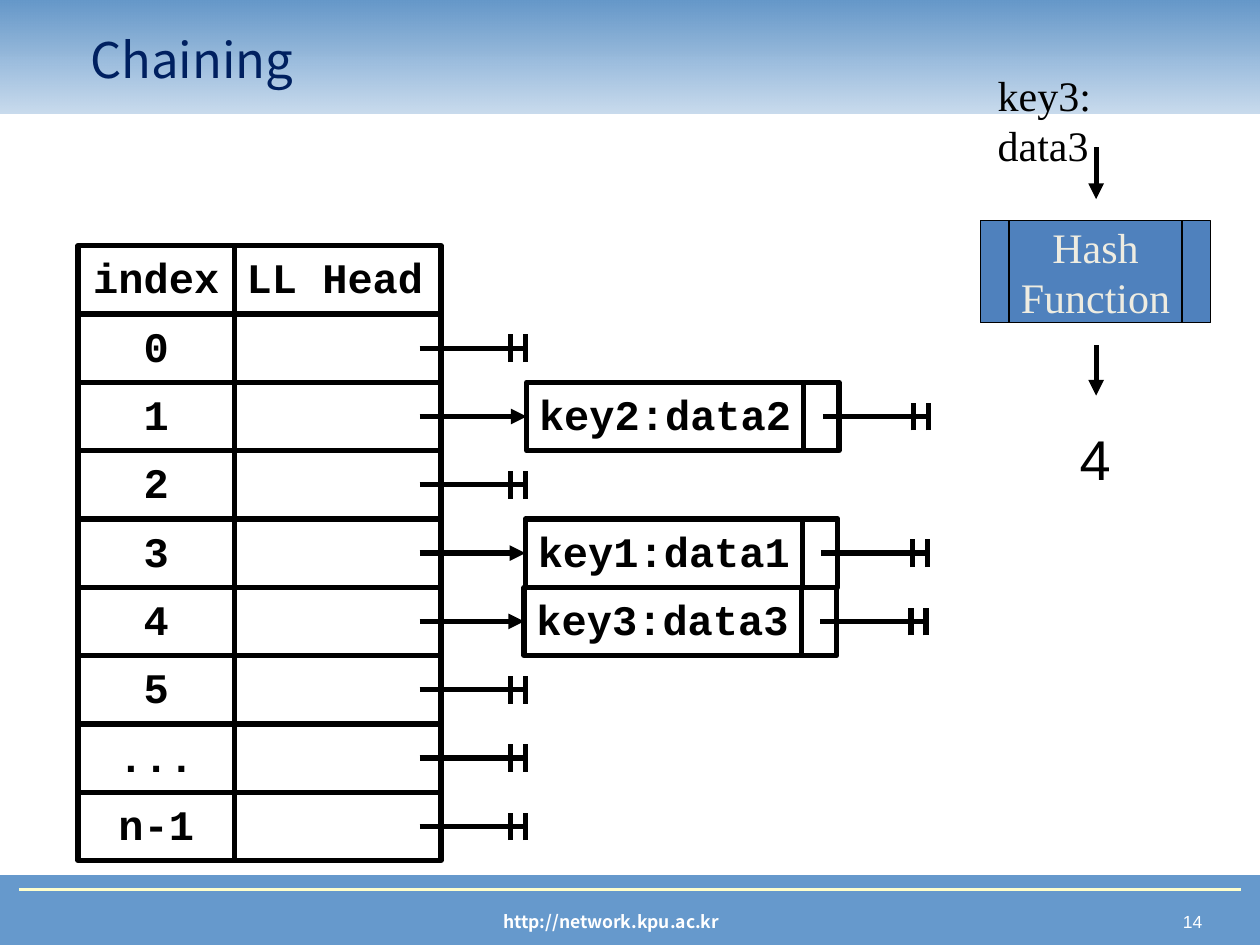
import pptx
import pptx.dml.color
import pptx.enum.shapes
import pptx.enum.text
import pptx.oxml
import pptx.oxml.ns
import pptx.util
from lxml import etree

Inches, Pt = pptx.util.Inches, pptx.util.Pt
RGBColor = pptx.dml.color.RGBColor
SHAPE = pptx.enum.shapes.MSO_SHAPE
ALIGN = pptx.enum.text.PP_ALIGN
ANCHOR = pptx.enum.text.MSO_ANCHOR
qn = pptx.oxml.ns.qn

BLACK = RGBColor(0x00, 0x00, 0x00)
WHITE = RGBColor(0xFF, 0xFF, 0xFF)
SKY = RGBColor(0x66, 0x99, 0xCC)
SKY_TOP = RGBColor(0x64, 0x97, 0xC9)
NAVY = RGBColor(0x00, 0x20, 0x60)
CREAM = RGBColor(0xFF, 0xFF, 0xCC)
HASH_BLUE = RGBColor(0x4F, 0x81, 0xBD)
IVORY = RGBColor(0xEE, 0xEC, 0xE1)
SANS, SERIF, MONO = "Noto Sans CJK KR", "Times New Roman", "Courier New"

# Content
TITLE = "Chaining"
HEADERS = ("index", "LL Head")
INDEXES = ("0", "1", "2", "3", "4", "5", "...", "n-1")
NODES = {  # index: (node text, left edge)
    "1": ("key2:data2", 4.18),
    "3": ("key1:data1", 4.17),
    "4": ("key3:data3", 4.16),
}
HASH_INPUT, HASH_BOX, HASH_OUTPUT = "key3: data3", ("Hash", "Function"), "4"
HASH_ARROWS = ((1.17, 1.58), (2.74, 3.14))
SITE, PAGE = "http://network.kpu.ac.kr", "14"

# Layout
TABLE_TOP, TABLE_BOTTOM = 1.95, 6.83
ROW_H = (TABLE_BOTTOM - TABLE_TOP) / (len(INDEXES) + 1)
INDEX_X, INDEX_W, HEAD_X, HEAD_W = 0.62, 1.24, 1.86, 1.64
POINTER_X, POINTER_W = 3.33, 0.84
NODE_W, NEXT_W, NEXT_POINTER = 2.2, 0.28, 2.35
TICK_GAP, TICK_HALF = 0.12, 0.11
HASH_MID = 8.7

prs = pptx.Presentation()
prs.slide_width, prs.slide_height = Inches(10), Inches(7.5)
slide = prs.slides.add_slide(prs.slide_layouts[6])


def write(shape, lines, font, size, color, bold=False, align=ALIGN.LEFT,
          anchor=ANCHOR.TOP, wrap=False):
    frame = shape.text_frame
    frame.word_wrap, frame.vertical_anchor = wrap, anchor
    frame.text = "\n".join(lines)
    for paragraph in frame.paragraphs:
        paragraph.alignment = align
        paragraph.font.name, paragraph.font.size = font, Pt(size)
        paragraph.font.bold, paragraph.font.color.rgb = bold, color
        ea = etree.SubElement(paragraph.font._element, qn("a:ea"))
        ea.set("typeface", font)


def label(x, y, w, h, text, *style, **options):
    box = slide.shapes.add_textbox(Inches(x), Inches(y), Inches(w), Inches(h))
    write(box, [text], *style, **options)


def block(x, y, w, h, kind=SHAPE.RECTANGLE, fill=None, line=BLACK, width=3):
    shape = slide.shapes.add_shape(kind, Inches(x), Inches(y), Inches(w), Inches(h))
    shape.shadow.inherit = False
    if fill is None:
        shape.fill.background()
    else:
        shape.fill.solid()
        shape.fill.fore_color.rgb = fill
    if line is None:
        shape.line.fill.background()
    else:
        shape.line.color.rgb, shape.line.width = line, Pt(width)
    return shape


def cell(x, y, w, text="", align=ALIGN.LEFT):
    shape = block(x, y, w, ROW_H)
    if text:
        write(shape, [text], MONO, 24, BLACK, bold=True, align=align)
    return shape


def line(x1, y1, x2, y2, color=BLACK, width=3, arrow=False, parent=slide):
    connector = parent.shapes.add_connector(
        pptx.enum.shapes.MSO_CONNECTOR.STRAIGHT,
        Inches(x1), Inches(y1), Inches(x2), Inches(y2))
    connector.line.color.rgb, connector.line.width = color, Pt(width)
    if arrow:
        etree.SubElement(connector.line._get_or_add_ln(), qn("a:tailEnd"), type="triangle")
    etree.SubElement(connector._element.spPr, qn("a:effectLst"))
    return connector


def null_pointer(x, y):
    group = slide.shapes.add_group_shape()
    end = x + POINTER_W
    for x1, y1, x2, y2 in ((x, y, end, y),
                           (end - TICK_GAP, y + TICK_HALF, end - TICK_GAP, y - TICK_HALF),
                           (end, y + TICK_HALF, end, y - TICK_HALF)):
        connector = group.shapes.add_connector(
            pptx.enum.shapes.MSO_CONNECTOR.STRAIGHT,
            Inches(x1), Inches(y1), Inches(x2), Inches(y2))
        connector.line.color.rgb, connector.line.width = BLACK, Pt(3)
        etree.SubElement(connector._element.spPr, qn("a:effectLst"))


# Footer band
block(0, 6.95, 10, 0.55, fill=SKY, line=SKY, width=0.75)
label(7.42, 7.18, 2.22, 0.27, PAGE, "Arial", 10, WHITE, align=ALIGN.RIGHT, wrap=True)
label(2.27, 7.18, 5.16, 0.27, SITE, SANS, 10, WHITE, bold=True, align=ALIGN.CENTER, wrap=True)
line(0.15, 7.06, 9.85, 7.06, CREAM, 1.5)

# Title band, fading towards its lower edge
band = block(0, 0, 10, 0.9, line=None)
band.fill.gradient()
band.fill.gradient_angle = 90
for stop, color in zip(band.fill.gradient_stops, (SKY, SKY_TOP)):
    stop.color.rgb = color
faded = band._element.spPr.find(".//" + qn("a:srgbClr"))
etree.SubElement(faded, qn("a:alpha"), val="35000")
label(0.62, 0.16, 8.44, 0.62, TITLE, SANS, 28, NAVY, anchor=ANCHOR.MIDDLE, wrap=True)

# Hash function
label(7.82, 0.5, 1.74, 0.5, HASH_INPUT, SERIF, 24, BLACK)
hash_box = block(7.78, 1.75, 1.83, 0.81, SHAPE.FLOWCHART_PREDEFINED_PROCESS,
                 fill=HASH_BLUE, width=0.75)
write(hash_box, HASH_BOX, SERIF, 24, IVORY, align=ALIGN.CENTER, anchor=ANCHOR.MIDDLE)
for start, end in HASH_ARROWS:
    line(HASH_MID, start, HASH_MID, end, arrow=True)
label(8.47, 3.32, 0.45, 0.64, HASH_OUTPUT, "Arial", 32, BLACK)

# Table of list heads
cell(INDEX_X, TABLE_TOP, INDEX_W, HEADERS[0], ALIGN.CENTER)
cell(HEAD_X, TABLE_TOP, HEAD_W, HEADERS[1])
for row, index in enumerate(INDEXES, start=1):
    top = TABLE_TOP + row * ROW_H
    middle = top + ROW_H / 2
    cell(INDEX_X, top, INDEX_W, index, ALIGN.CENTER)
    cell(HEAD_X, top, HEAD_W)
    if index not in NODES:
        null_pointer(POINTER_X, middle)
        continue
    # Linked node and its empty next pointer
    text, left = NODES[index]
    node = cell(left, top, NODE_W, text)
    cell(left + NODE_W, top, NEXT_W)
    line(POINTER_X, middle, left, middle, arrow=True).end_connect(node, 1)
    null_pointer(left + NEXT_POINTER, middle)

prs.save("out.pptx")
